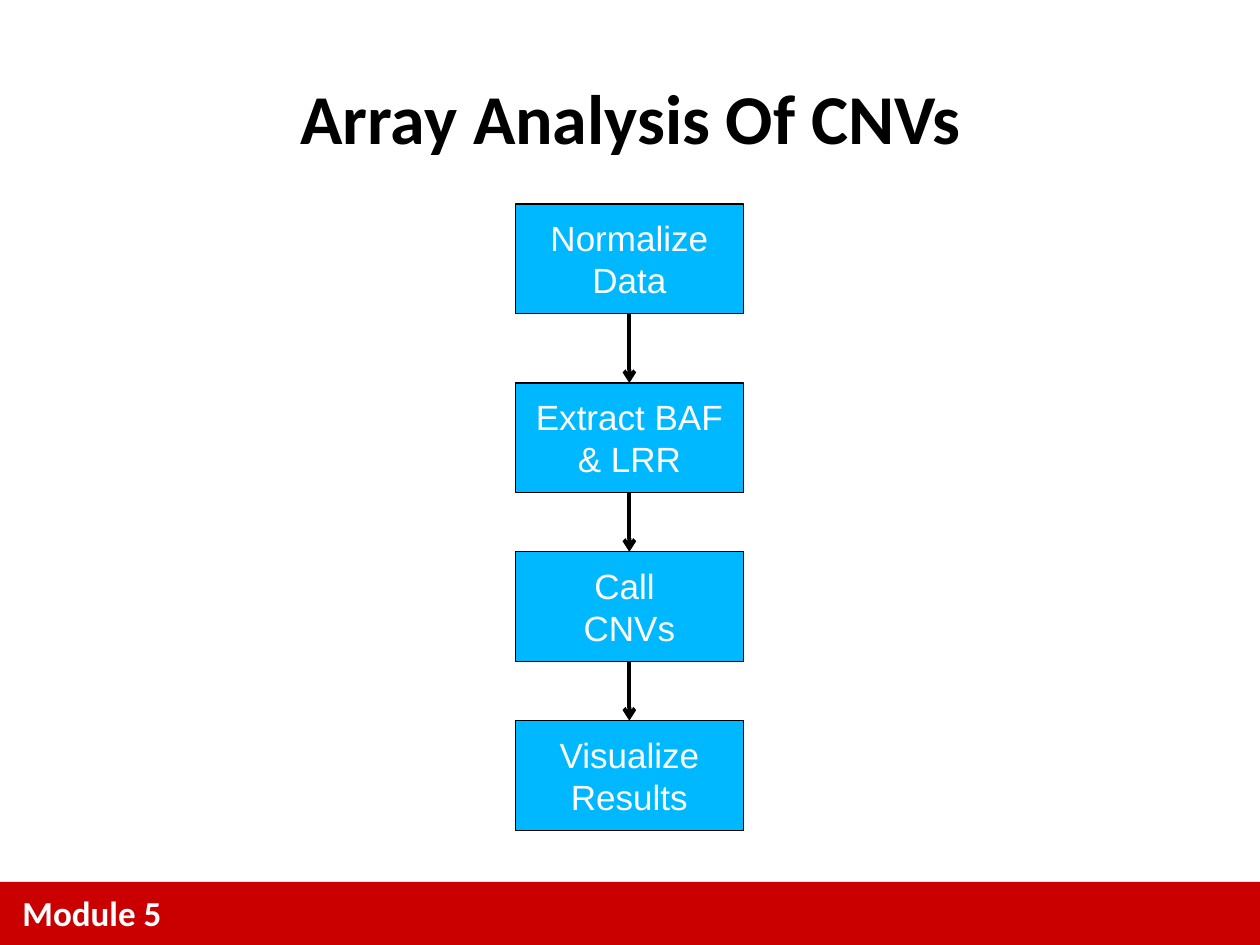
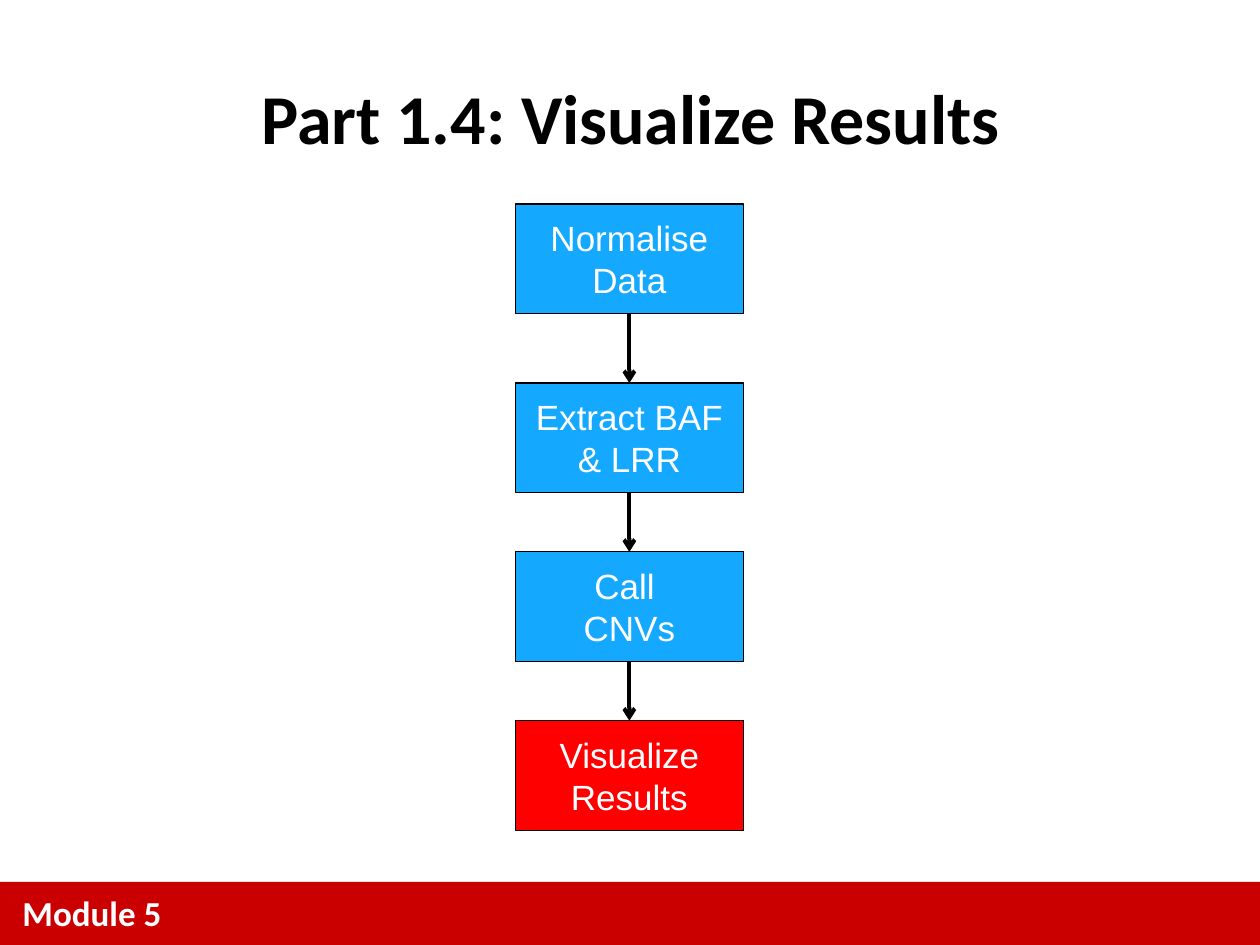
from lxml import etree
from pptx import Presentation
from pptx.dml.color import RGBColor
from pptx.enum import shapes, text
from pptx.oxml import ns
from pptx.util import Inches, Pt

BLACK = RGBColor(0x00, 0x00, 0x00)
WHITE = RGBColor(0xFF, 0xFF, 0xFF)
BAND_RED = RGBColor(0xCA, 0x00, 0x00)
SKY_BLUE = RGBColor(0x00, 0xB8, 0xFF)
STEP_BLUE = RGBColor(0x14, 0xA8, 0xFF)
CURRENT_RED = RGBColor(0xFF, 0x00, 0x00)

STEP_LEFT, STEP_WIDTH, STEP_HEIGHT = 4.09, 1.81, 0.87
STEP_TOPS = [1.62, 3.04, 4.38, 5.72]
LATER_STEPS = ["Extract BAF & LRR", "Call \vCNVs", "Visualize Results"]

# Title, title top and height, first step, colour of each step
SLIDES = [
    ("Array Analysis Of CNVs", 0.21, 1.43, "Normalize Data", [SKY_BLUE] * 4),
    ("Part 1.4: Visualize Results", 0.3, 1.25, "Normalise Data",
     [STEP_BLUE] * 3 + [CURRENT_RED]),
]


def style_run(run, name, size, color, bold=False):
    run.font.name = name
    run.font.size = Pt(size)
    run.font.color.rgb = color
    run.font.bold = bold


def add_rectangle(slide, left, top, width, height, fill):
    shape = slide.shapes.add_shape(
        shapes.MSO_SHAPE.RECTANGLE,
        Inches(left), Inches(top), Inches(width), Inches(height))
    shape.shadow.inherit = False
    shape.fill.solid()
    shape.fill.fore_color.rgb = fill
    return shape


presentation = Presentation()
presentation.slide_width = Inches(10)
presentation.slide_height = Inches(7.5)

for title_text, title_top, title_height, first_step, colors in SLIDES:
    slide = presentation.slides.add_slide(presentation.slide_layouts[5])

    # Footer band
    band = add_rectangle(slide, 0, 7, 10, 0.5, BAND_RED)
    band.line.fill.background()
    module = slide.shapes.add_textbox(
        Inches(0.08), Inches(7.03), Inches(7.33), Inches(0.44))
    module.text_frame.word_wrap = True
    module.text_frame.text = "Module 5"
    style_run(module.text_frame.paragraphs[0].runs[0], "Calibri", 20, WHITE, True)

    # Title
    title = slide.shapes.title
    title.left, title.top = Inches(0.17), Inches(title_top)
    title.width, title.height = Inches(9.67), Inches(title_height)
    title.text_frame.text = title_text
    title.text_frame.auto_size = text.MSO_AUTO_SIZE.NONE
    title.text_frame.vertical_anchor = text.MSO_ANCHOR.MIDDLE
    paragraph = title.text_frame.paragraphs[0]
    paragraph.alignment = text.PP_ALIGN.CENTER
    style_run(paragraph.runs[0], "Calibri", 40, BLACK, True)

    # Workflow steps
    steps = []
    for label, top, color in zip([first_step] + LATER_STEPS, STEP_TOPS, colors):
        step = add_rectangle(slide, STEP_LEFT, top, STEP_WIDTH, STEP_HEIGHT, color)
        step.line.color.rgb = BLACK
        step.line.width = Pt(0.75)
        step.text_frame.word_wrap = True
        step.text_frame.vertical_anchor = text.MSO_ANCHOR.MIDDLE
        paragraph = step.text_frame.paragraphs[0]
        paragraph.text = label
        paragraph.alignment = text.PP_ALIGN.CENTER
        for run in paragraph.runs:
            style_run(run, "Arial", 20, WHITE)
        steps.append(step)

    # Arrows from each step to the next
    for upper, lower in zip(steps, steps[1:]):
        arrow = slide.shapes.add_connector(
            shapes.MSO_CONNECTOR.STRAIGHT, 0, 0, 0, 0)
        arrow.begin_connect(upper, 2)
        arrow.end_connect(lower, 0)
        arrow.line.color.rgb = BLACK
        arrow.line.width = Pt(2.25)
        etree.SubElement(arrow.line._get_or_add_ln(), ns.qn("a:tailEnd"), type="arrow")
        etree.SubElement(arrow._element.spPr, ns.qn("a:effectLst"))

presentation.save("out.pptx")
